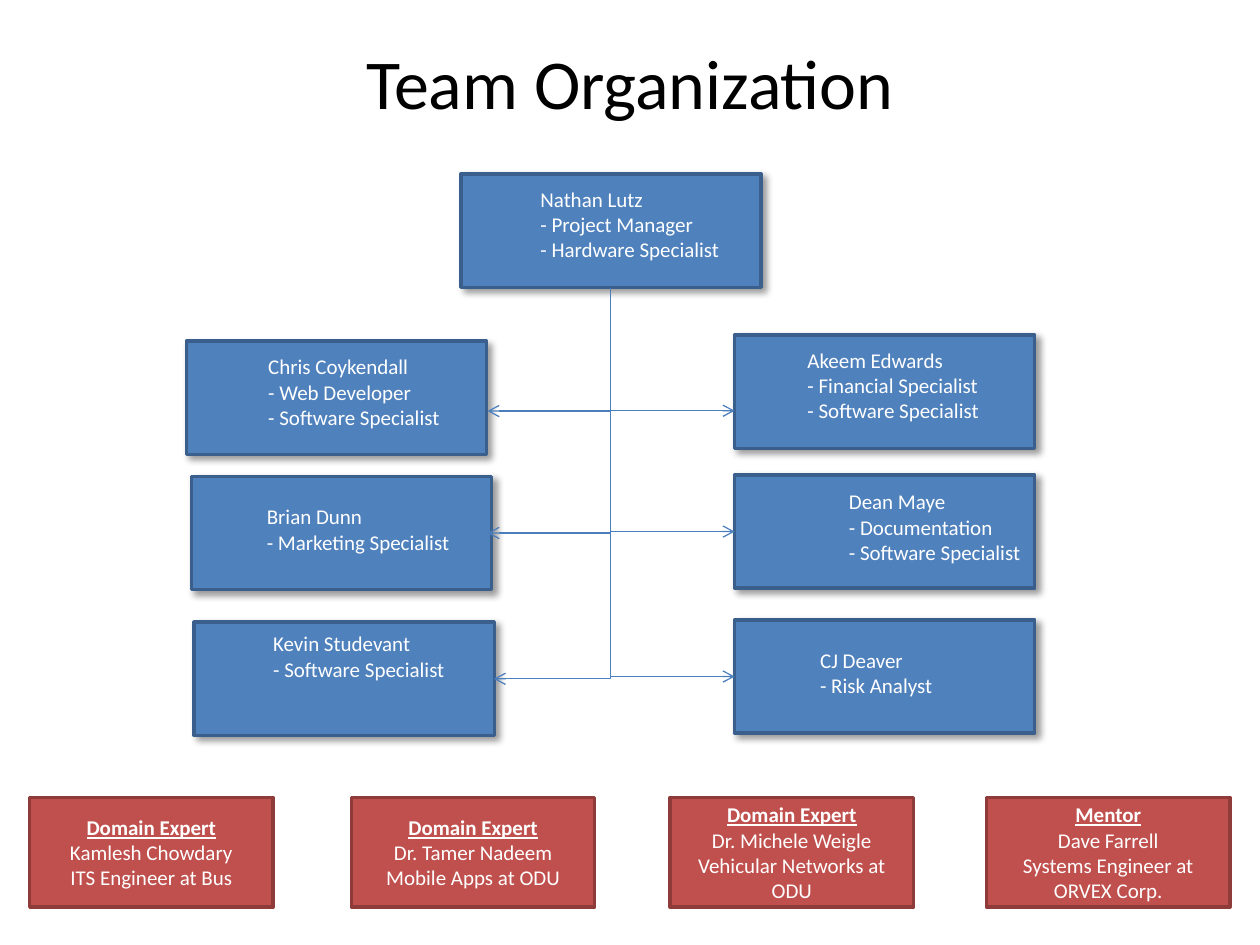
"""Build the team organization chart slide."""
from lxml.etree import SubElement
from pptx import Presentation
from pptx.dml.color import RGBColor
from pptx.enum.shapes import MSO_CONNECTOR, MSO_SHAPE
from pptx.enum.text import MSO_ANCHOR, PP_ALIGN
from pptx.oxml.ns import qn
from pptx.util import Pt

BLACK = RGBColor(0x00, 0x00, 0x00)
WHITE = RGBColor(0xFF, 0xFF, 0xFF)
BLUE = RGBColor(0x4F, 0x81, 0xBD)
BLUE_EDGE = RGBColor(0x3A, 0x5F, 0x8C)
RED = RGBColor(0xC0, 0x50, 0x4D)
RED_EDGE = RGBColor(0x8E, 0x3B, 0x39)
ARROW = RGBColor(0x4B, 0x7E, 0xBC)

BOX_W, BOX_H = 171.5, 64.8
RIGHT_X = 419.8
EXPERT_W, EXPERT_H, EXPERT_Y = 139, 62.6, 455.8
TRUNK_X, TRUNK_Y = 349, 164.5

MEMBERS = [
    ((RIGHT_X, 354.2), (461.5, 366.5, 165), ["CJ Deaver", "- Risk Analyst"]),
    ((RIGHT_X, 271.4), (478, 275.8, 181.4),
     ["Dean Maye", "- Documentation", "- Software Specialist"]),
    ((RIGHT_X, 191.5), (454.3, 195, 156),
     ["Akeem Edwards", "- Financial Specialist", "- Software Specialist"]),
    ((109.5, 272.2), (145.4, 284.4, 147), ["Brian Dunn", "- Marketing Specialist"]),
    ((111, 355.5), (149, 357, 131), ["Kevin Studevant", "- Software Specialist"]),
    ((263.5, 99.4), (301.7, 103, 142.5),
     ["Nathan Lutz", "- Project Manager", "- Hardware Specialist"]),
    ((106.5, 195), (146.2, 198.7, 136),
     ["Chris Coykendall", "- Web Developer", "- Software Specialist"]),
]
EXPERTS = [
    (17, ["Domain Expert", "Kamlesh Chowdary", "ITS Engineer at Bus"]),
    (200.9, ["Domain Expert", "Dr. Tamer Nadeem", "Mobile Apps at ODU"]),
    (383, ["Domain Expert", "Dr. Michele Weigle", "Vehicular Networks at ODU"]),
    (563.8, ["Mentor", "Dave Farrell", "Systems Engineer at ORVEX Corp."]),
]
ARROW_ENDS = [(RIGHT_X, 386.6), (RIGHT_X, 303.8), (RIGHT_X, 234.7),
              (282.2, 387.9), (278.6, 304.6), (278.6, 234.9)]


def add_box(x, y, w, h, fill, edge):
    sp = slide.shapes.add_shape(MSO_SHAPE.RECTANGLE, Pt(x), Pt(y), Pt(w), Pt(h))
    sp.shadow.inherit = False
    sp.fill.solid()
    sp.fill.fore_color.rgb = fill
    sp.line.color.rgb = edge
    sp.line.width = Pt(2)
    return sp


def write_lines(tf, lines, align, heading):
    tf.word_wrap = True
    for i, line in enumerate(lines):
        p = tf.paragraphs[0] if i == 0 else tf.add_paragraph()
        p.alignment = align
        r = p.add_run()
        r.text = line
        r.font.color.rgb = WHITE
        marked = heading and i == 0
        style = {"name": "Calibri", "size": Pt(12), "bold": marked, "underline": marked}
        for key, value in style.items():
            setattr(r.font, key, value)


prs = Presentation()
prs.slide_width, prs.slide_height = Pt(720), Pt(540)
slide = prs.slides.add_slide(prs.slide_layouts[5])

title = slide.shapes.title
for key, value in {"left": 36, "top": 1.5, "width": 648, "height": 90}.items():
    setattr(title, key, Pt(value))
tf = title.text_frame
tf.text = "Team Organization"
tf.vertical_anchor = MSO_ANCHOR.MIDDLE
p = tf.paragraphs[0]
p.alignment = PP_ALIGN.CENTER
p.font.name, p.font.size = "Calibri", Pt(40)
p.font.color.rgb = BLACK

for (x, y), label, lines in MEMBERS:
    sp = add_box(x, y, BOX_W, BOX_H, BLUE, BLUE_EDGE)
    effects = sp._element.spPr.find(qn("a:effectLst"))
    shadow = SubElement(effects, qn("a:outerShdw"), blurRad=str(Pt(4)), dist=str(Pt(3)),
                        dir="2700000", algn="tl", rotWithShape="0")
    color = SubElement(shadow, qn("a:srgbClr"), val="000000")
    SubElement(color, qn("a:alpha"), val="40000")

for box, (x, y, w), lines in MEMBERS:
    tb = slide.shapes.add_textbox(Pt(x), Pt(y), Pt(w), Pt(7.2 + 14.6 * len(lines)))
    write_lines(tb.text_frame, lines, PP_ALIGN.LEFT, False)

for x, lines in EXPERTS:
    sp = add_box(x, EXPERT_Y, EXPERT_W, EXPERT_H, RED, RED_EDGE)
    sp.text_frame.vertical_anchor = MSO_ANCHOR.MIDDLE
    write_lines(sp.text_frame, lines, PP_ALIGN.CENTER, True)

for x, y in ARROW_ENDS:
    run, drop = abs(x - TRUNK_X), y - TRUNK_Y
    mid_x, mid_y = (x + TRUNK_X) / 2, (y + TRUNK_Y) / 2
    to_right = x > TRUNK_X
    half = -drop / 2 if to_right else drop / 2
    cxn = slide.shapes.add_connector(
        MSO_CONNECTOR.ELBOW, Pt(mid_x - half), Pt(mid_y - run / 2),
        Pt(mid_x + half), Pt(mid_y + run / 2))
    cxn.line.color.rgb = ARROW
    cxn.line.width = Pt(0.75)
    props = cxn._element.spPr
    props.find(qn("a:xfrm")).set("rot", str((270 if to_right else 90) * 60000))
    props.find(qn("a:prstGeom")).set("prst", "bentConnector2")
    SubElement(props.find(qn("a:ln")), qn("a:tailEnd"), type="arrow")
    SubElement(props, qn("a:effectLst"))

prs.save("out.pptx")
